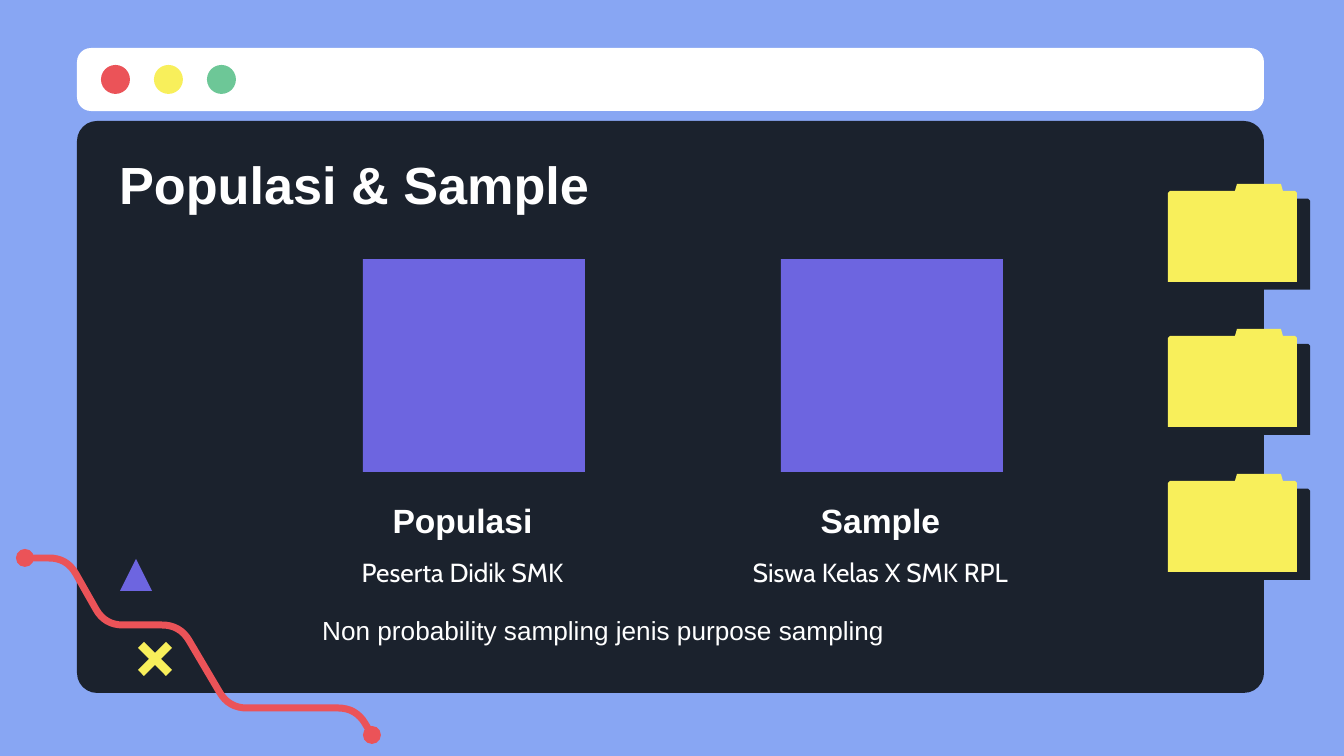
from math import dist
from lxml import etree
from pptx import Presentation
from pptx import util as u
from pptx.dml.color import RGBColor
from pptx.enum import shapes as sh, text as tx
from pptx.oxml.ns import qn

PX = 914400 / 134.4  # EMU per px
INK = {"sky": "88A6F3", "dark": "1B222D", "white": "FFFFFF", "red": "EB5358",
       "yellow": "F8EF5B", "green": "6DC797", "violet": "6D65E0"}
KIND = sh.MSO_SHAPE
MID = tx.MSO_ANCHOR.MIDDLE


def px(n):
    return u.Emu(round(n * PX))


def ink(name):
    return RGBColor.from_string(INK[name])


def paint(shape, color):
    shape.shadow.inherit = False
    shape.fill.solid()
    shape.fill.fore_color.rgb = ink(color)
    shape.line.fill.background()
    return shape


def block(slide, kind, box, color):
    return paint(slide.shapes.add_shape(kind, *map(px, box)), color)


def outline(slide, x, y, pts, close=True):
    """Build a freeform from points relative to (x, y)."""
    pts = [(px(x + a), px(y + b)) for a, b in pts]
    pen = slide.shapes.build_freeform(*pts[0])
    pen.add_line_segments(pts[1:], close=close)
    return pen.convert_to_shape()


def label(slide, box, words, size, font="Arial", bold=False,
          center=False, anchor=tx.MSO_ANCHOR.TOP):
    frame = slide.shapes.add_textbox(*map(px, box)).text_frame
    frame.word_wrap = True
    frame.vertical_anchor = anchor
    frame.margin_left = frame.margin_right = u.Inches(0.1)
    frame.margin_top = frame.margin_bottom = u.Inches(0.1)
    frame.text = words
    para = frame.paragraphs[0]
    para.alignment = tx.PP_ALIGN.CENTER if center else tx.PP_ALIGN.LEFT
    face = para.runs[0].font
    face.name, face.size, face.bold = font, u.Pt(size), bold
    face.color.rgb = ink("white")


def window(slide, x, y, w, h):
    pane = block(slide, KIND.ROUNDED_RECTANGLE, (x, y + 73, w, h - 73), "dark")
    pane.adjustments[0] = 0.035
    bar = block(slide, KIND.ROUNDED_RECTANGLE, (x, y, w, 63), "white")
    bar.adjustments[0] = 0.22
    for i, color in enumerate(("red", "yellow", "green")):
        block(slide, KIND.OVAL, (x + 24 + 53 * i, y + 17, 29, 29), color)


def folder(slide, x, y, w, h):
    pts = [(0, h), (0, 9), (2, 7), (67, 7), (69, 0), (w - 16, 0),
           (w - 14, 7), (w - 2, 7), (w, 9), (w, h)]
    shape = paint(outline(slide, x, y, pts), "yellow")
    effects = shape.element.spPr.find(qn("a:effectLst"))
    shade = etree.SubElement(effects, qn("a:outerShdw"), dist=str(u.Pt(8.2)),
                             dir=str(31 * 60000), algn="bl", rotWithShape="0")
    etree.SubElement(shade, qn("a:srgbClr"), val=INK["dark"])


def column(slide, x, y, w, head, body):
    block(slide, KIND.RECTANGLE, (x + 78, y, 222, 213), "violet")
    label(slide, (x, y + 284, w, 99), body, 14, "Cabin", center=True)
    label(slide, (x, y + 222, w, 78), head, 18, bold=True,
          center=True, anchor=MID)


def bend(pts, reach=18, steps=8):
    """Round the inner corners of a polyline with quadratic curves."""
    path = [pts[0]]
    for a, b, c in zip(pts, pts[1:], pts[2:]):
        p, q = ([m + (n - m) * reach / dist(b, end) for m, n in zip(b, end)]
                for end in (a, c))
        for i in range(steps + 1):
            t = i / steps
            path.append(tuple((1 - t) ** 2 * j + 2 * t * (1 - t) * k + t * t * l
                              for j, k, l in zip(p, b, q)))
    return path + [pts[-1]]


def trail(slide, x, y):
    """Draw the stepped red line with a dot at each end."""
    pts = [(0, 0), (42, 0), (80, 67), (155, 67), (204, 150), (331, 150), (347, 177)]
    line = outline(slide, x, y, bend(pts), close=False)
    line.shadow.inherit = False
    line.fill.background()
    line.line.color.rgb = ink("red")
    line.line.width = px(7)
    for a, b in (pts[0], pts[-1]):
        block(slide, KIND.OVAL, (x + a - 9, y + b - 9, 18, 18), "red")


def marks(slide, x, y):
    """Draw the small triangle and the cross below it."""
    block(slide, KIND.ISOSCELES_TRIANGLE, (x, y, 32, 32), "violet")
    cross = [(6, 0), (17, 11), (28, 0), (34, 6), (23, 17), (34, 28),
             (28, 34), (17, 23), (6, 34), (0, 28), (11, 17), (0, 6)]
    paint(outline(slide, x + 18, y + 83, cross), "yellow")


def main():
    deck = Presentation()
    deck.slide_width, deck.slide_height = px(1344), px(756)
    slide = deck.slides.add_slide(deck.slide_layouts[6])
    slide.background.fill.solid()
    slide.background.fill.fore_color.rgb = ink("sky")

    window(slide, 77, 48, 1187, 645)
    for i in range(3):
        folder(slide, 1168, 184 + 145 * i, 129, 98)
    label(slide, (106, 142, 1133, 83), "Populasi & Sample", 28,
          bold=True, anchor=MID)
    column(slide, 285, 259, 355, "Populasi", "Peserta Didik SMK")
    column(slide, 703, 259, 355, "Sample", "Siswa Kelas X SMK RPL")
    trail(slide, 25, 558)
    marks(slide, 120, 559)
    label(slide, (309, 601, 792, 59),
          "Non probability sampling jenis purpose sampling", 14)
    deck.save("out.pptx")


if __name__ == "__main__":
    main()
